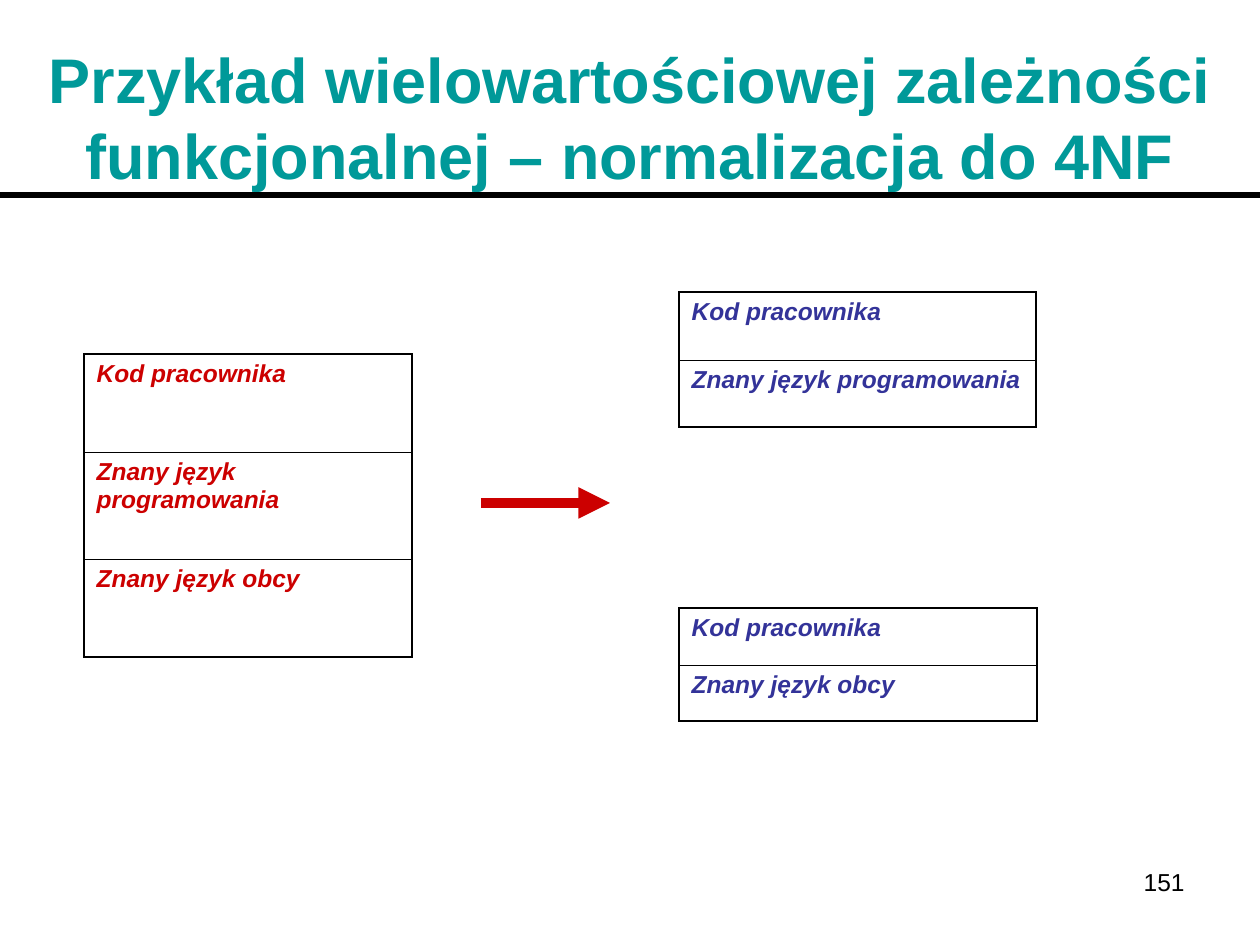
import pptx
import pptx.dml.color
import pptx.enum.dml
import pptx.enum.shapes
import pptx.enum.text
import pptx.oxml.ns
import pptx.util
from lxml import etree

PX = 914400 // 126
BLACK, TEAL, RED, BLUE = "000000", "009999", "CC0000", "333399"
THICK, THIN = 1.08, 0.45
ALIGN = pptx.enum.text.PP_ALIGN
ANCHOR = pptx.enum.text.MSO_ANCHOR


def px(*lengths):
    return [pptx.util.Emu(length * PX) for length in lengths]


def color(value):
    return pptx.dml.color.RGBColor.from_string(value)


def add_element(parent, tag, **attributes):
    return etree.SubElement(parent, pptx.oxml.ns.qn(tag), attributes)


def write(frame, text, size, value, align=ALIGN.LEFT, **formats):
    frame.word_wrap = True
    paragraph = frame.paragraphs[0]
    paragraph.alignment = align
    run = paragraph.add_run()
    run.text = text
    for name, setting in {"name": "Arial", "size": pptx.util.Pt(size), **formats}.items():
        setattr(run.font, name, setting)
    run.font.color.rgb = color(value)


def add_title(slide, text):
    title = slide.shapes.title
    title.left, title.top, title.width, title.height = px(0, 38, 1260, 157)
    title.text_frame.auto_size = pptx.enum.text.MSO_AUTO_SIZE.NONE
    title.text_frame.vertical_anchor = ANCHOR.MIDDLE
    write(title.text_frame, text, 36, TEAL, ALIGN.CENTER, bold=True)


def set_borders(cell, widths):
    properties = cell._tc.get_or_add_tcPr()
    for side, width in zip("LRTB", widths):
        if width:
            border = add_element(properties, f"a:ln{side}", w=str(pptx.util.Pt(width)))
            fill = add_element(border, "a:solidFill")
            add_element(fill, "a:srgbClr", val=BLACK)
        else:
            border = add_element(properties, f"a:ln{side}", w="0")
            add_element(border, "a:noFill")


def add_relation(slide, left, top, width, heights, labels, value):
    frame = slide.shapes.add_table(len(labels), 1, *px(left, top, width, sum(heights)))
    table = frame.table
    table.first_row = table.horz_banding = False
    first = next(index for index, label in enumerate(labels) if label)
    for index, (height, label) in enumerate(zip(heights, labels)):
        table.rows[index].height = px(height)[0]
        cell = table.cell(index, 0)
        if label:
            write(cell.text_frame, label, 14, value, bold=True, italic=True)
            above = THICK if index == first else THIN
            below = THICK if index == len(labels) - 1 else THIN
            set_borders(cell, (THICK, THICK, above, below))
        else:
            set_borders(cell, (0, 0, 0, THICK))
        cell.fill.background()


def add_line(slide, start, end, value, width, arrow=False):
    connector = slide.shapes.add_connector(
        pptx.enum.shapes.MSO_CONNECTOR.STRAIGHT, *px(*start, *end))
    connector.line.color.rgb = color(value)
    connector.line.width = pptx.util.Pt(width)
    if arrow:
        add_element(connector.line._get_or_add_ln(), "a:tailEnd", type="triangle")
    add_element(connector._element.spPr, "a:effectLst")


def add_page_number(slide, text):
    box = slide.shapes.add_textbox(*px(903, 861, 294, 65))
    write(box.text_frame, text, 14, BLACK, ALIGN.RIGHT)


def main():
    presentation = pptx.Presentation()
    presentation.slide_width, presentation.slide_height = px(1260, 945)
    slide = presentation.slides.add_slide(presentation.slide_layouts[5])
    employee, programming, foreign = (
        "Kod pracownika", "Znany język programowania", "Znany język obcy")

    add_title(slide, "Przykład wielowartościowej zależności "
                     "funkcjonalnej – normalizacja do 4NF")
    add_relation(slide, 84, 354, 328, (98, 107, 98), (employee, programming, foreign), RED)
    add_relation(slide, 679, 224, 357, (68, 68, 67), ("", employee, programming), BLUE)
    add_line(slide, (0, 195), (1260, 195), BLACK, 3)
    add_relation(slide, 679, 543, 358, (65, 57, 56), ("", employee, foreign), BLUE)
    add_line(slide, (481, 503), (610, 503), RED, 6, arrow=True)
    add_page_number(slide, "151")
    presentation.save("out.pptx")


if __name__ == "__main__":
    main()
